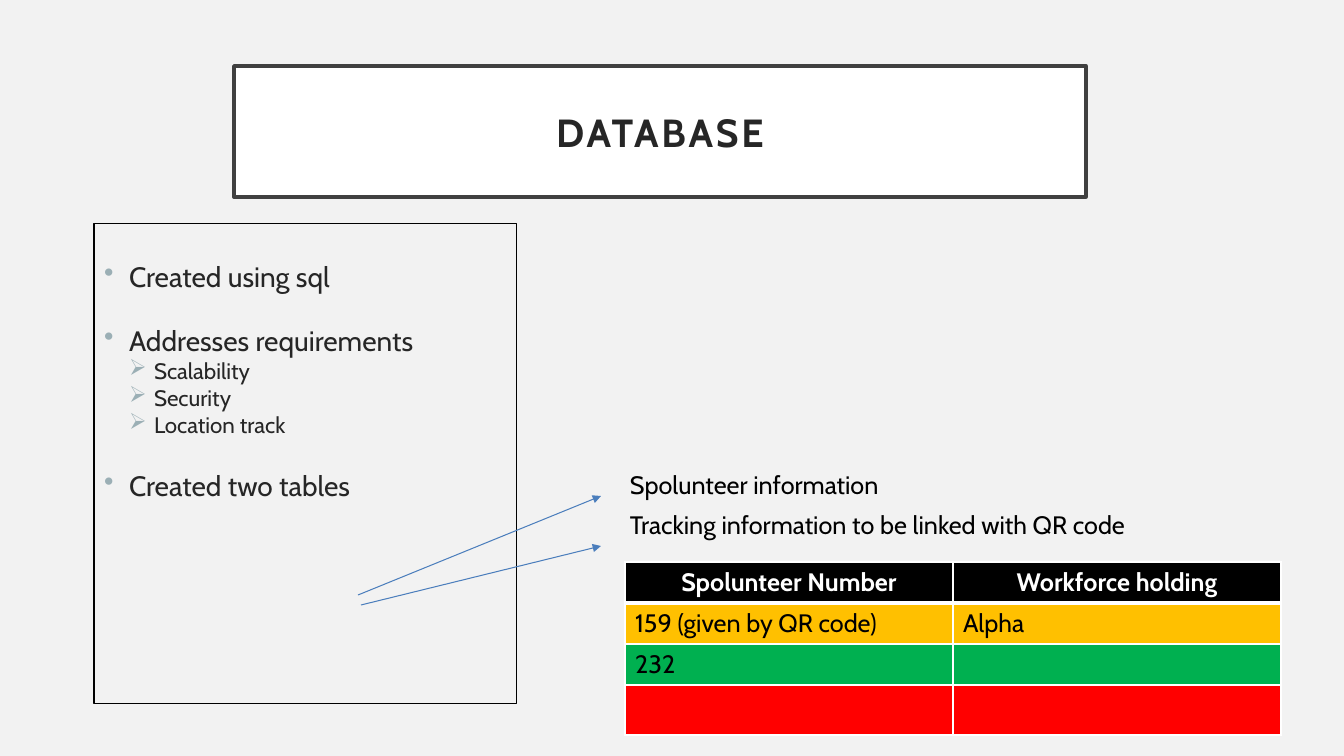
import pptx
import pptx.dml.color
import pptx.enum.shapes
import pptx.enum.text
import pptx.oxml
import pptx.oxml.ns
import pptx.util

RGB = pptx.dml.color.RGBColor
ALIGN = pptx.enum.text.PP_ALIGN
ANCHOR = pptx.enum.text.MSO_ANCHOR

EMU_PER_PX = 914400 / 100.8
FONT = "Cabin"
BACKGROUND = RGB(0xF2, 0xF2, 0xF2)
WHITE = RGB(0xFF, 0xFF, 0xFF)
BLACK = RGB(0, 0, 0)
INK = RGB(0x26, 0x26, 0x26)
FRAME = RGB(0x40, 0x40, 0x40)
BULLET = RGB(0x9B, 0xAF, 0xB5)
ARROW = RGB(0x4B, 0x7E, 0xBC)
AMBER = RGB(0xFF, 0xC0, 0x00)
GREEN = RGB(0x00, 0xB0, 0x50)
RED = RGB(0xFF, 0, 0)

REQUIREMENTS = [
    # text, level, space before in points
    ("Created using sql", 0, 0),
    ("Addresses requirements", 0, 22),
    ("Scalability", 1, 0),
    ("Security", 1, 0),
    ("Location track", 1, 0),
    ("Created two tables", 0, 22),
]
TABLE_NOTES = ["Spolunteer information", "Tracking information to be linked with QR code"]
ARROWS = [(361, 605, 601, 546), (358, 595, 601, 496)]
WORKFORCE = [
    # fill, row height, cells
    (BLACK, 41, ["Spolunteer Number", "Workforce holding"]),
    (AMBER, 41, ["159 (given by QR code)", "Alpha"]),
    (GREEN, 41, ["232", ""]),
    (RED, 50, ["", ""]),
]


def px(length):
    return pptx.util.Emu(round(length * EMU_PER_PX))


def xml(tag, body="", **attributes):
    listed = " ".join(f'{name}="{value}"' for name, value in attributes.items())
    namespace = pptx.oxml.ns.nsdecls("a")
    return pptx.oxml.parse_xml(f"<a:{tag} {namespace} {listed}>{body}</a:{tag}>")


def write(paragraph, text, size=18, color=BLACK, bold=False, align=ALIGN.LEFT):
    paragraph.alignment = align
    run = paragraph.add_run()
    run.text = text
    run.font.name = FONT
    run.font.size = pptx.util.Pt(size)
    run.font.bold = bold
    run.font.color.rgb = color
    return run


def set_insets(frame, side, top, bottom):
    frame.margin_left = frame.margin_right = px(side)
    frame.margin_top, frame.margin_bottom = px(top), px(bottom)


def outline(shape, color, width):
    shape.line.color.rgb = color
    shape.line.width = pptx.util.Pt(width)


def add_title(slide, text):
    title = slide.shapes.title
    title.left, title.top, title.width, title.height = px(234), px(66), px(852), px(131)
    title.fill.solid()
    title.fill.fore_color.rgb = WHITE
    outline(title, FRAME, 2.5)
    frame = title.text_frame
    frame.auto_size = pptx.enum.text.MSO_AUTO_SIZE.NONE
    frame.vertical_anchor = ANCHOR.MIDDLE
    set_insets(frame, 20, 20, 20)
    run = write(frame.paragraphs[0], text, size=28, color=INK, bold=True, align=ALIGN.CENTER)
    run.font._element.set("spc", "200")


def add_bullet(paragraph, level):
    paragraph.level = level
    properties = paragraph._p.get_or_add_pPr()
    properties.set("marL", str(px(25 * (level + 1))))
    properties.set("indent", str(px(-25)))
    properties.append(xml("buClr", f'<a:srgbClr val="{BULLET}"/>'))
    properties.append(xml("buChar", char="•➢"[level]))


def add_requirements(slide):
    box = slide.shapes.add_shape(
        pptx.enum.shapes.MSO_SHAPE.RECTANGLE, px(94), px(224), px(423), px(480))
    box.shadow.inherit = False
    box.fill.background()
    outline(box, BLACK, 0.75)
    frame = box.text_frame
    frame.word_wrap = True
    frame.vertical_anchor = ANCHOR.TOP
    set_insets(frame, 10, 35, 5)
    for index, (text, level, space) in enumerate(REQUIREMENTS):
        paragraph = frame.add_paragraph() if index else frame.paragraphs[0]
        paragraph.space_before = pptx.util.Pt(space)
        write(paragraph, text, size=(20, 16)[level], color=INK)
        add_bullet(paragraph, level)


def add_note(slide, text, top):
    frame = slide.shapes.add_textbox(px(620), px(top), px(680), px(40)).text_frame
    frame.word_wrap = True
    set_insets(frame, 10, 5, 5)
    write(frame.paragraphs[0], text)


def add_arrow(slide, *ends):
    arrow = slide.shapes.add_connector(
        pptx.enum.shapes.MSO_CONNECTOR.STRAIGHT, *map(px, ends))
    outline(arrow, ARROW, 0.75)
    arrow.line._get_or_add_ln().append(xml("tailEnd", type="triangle"))
    arrow._element.spPr.append(xml("effectLst"))


def add_borders(cell, bottom):
    properties = cell._tc.get_or_add_tcPr()
    white = f'<a:solidFill><a:srgbClr val="{WHITE}"/></a:solidFill>'
    for side, width in {"L": 0.96, "R": 0.96, "T": 0.96, "B": bottom}.items():
        properties.append(xml(f"ln{side}", white, w=pptx.util.Pt(width)))


def add_workforce_table(slide):
    heights = [height for _, height, _ in WORKFORCE]
    table = slide.shapes.add_table(
        len(WORKFORCE), 2, px(625), px(562), px(656), px(sum(heights))).table
    table.horz_banding = False
    for row, (fill, height, texts) in enumerate(WORKFORCE):
        header = row == 0
        table.rows[row].height = px(height)
        for column, text in enumerate(texts):
            cell = table.cell(row, column)
            add_borders(cell, bottom=3 if header or row == 0 else 0.96)
            if row == 1:
                cell._tc.tcPr.find(pptx.oxml.ns.qn("a:lnT")).set("w", str(pptx.util.Pt(3)))
            cell.fill.solid()
            cell.fill.fore_color.rgb = fill
            if text:
                write(cell.text_frame.paragraphs[0], text, bold=header,
                      color=WHITE if header else BLACK,
                      align=ALIGN.CENTER if header else ALIGN.LEFT)


def main():
    deck = pptx.Presentation()
    deck.slide_width, deck.slide_height = px(1344), px(756)
    slide = deck.slides.add_slide(deck.slide_layouts[5])
    slide.background.fill.solid()
    slide.background.fill.fore_color.rgb = BACKGROUND
    add_title(slide, "DATABASE")
    add_requirements(slide)
    for index, note in enumerate(TABLE_NOTES):
        add_note(slide, note, top=464 + 40 * index)
    for ends in ARROWS:
        add_arrow(slide, *ends)
    add_workforce_table(slide)
    deck.save("out.pptx")


if __name__ == "__main__":
    main()
